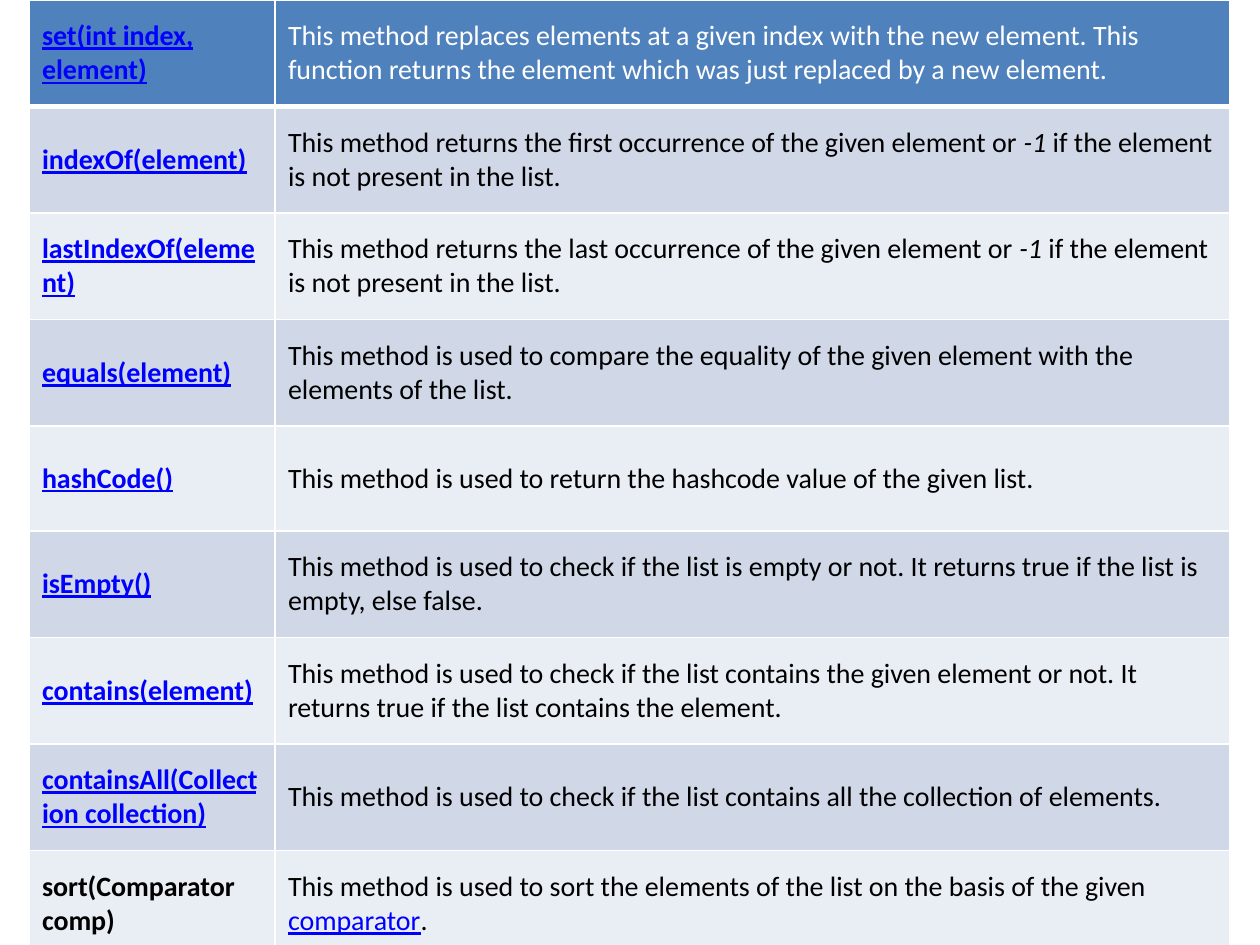
from lxml import etree
from pptx import Presentation
from pptx.dml.color import RGBColor
from pptx.enum.text import MSO_ANCHOR
from pptx.oxml.ns import qn
from pptx.util import Emu, Pt

MIDDLE = MSO_ANCHOR.MIDDLE
FONT, SIZE = "Calibri", 16
BLUE = RGBColor(0x4F, 0x81, 0xBD)
BAND_DARK = RGBColor(0xD0, 0xD8, 0xE8)
BAND_LIGHT = RGBColor(0xE9, 0xED, 0xF4)
LINK = RGBColor(0x00, 0x00, 0xFF)
WHITE = RGBColor(0xFF, 0xFF, 0xFF)
BLACK = RGBColor(0x00, 0x00, 0x00)

SLIDE_W, SLIDE_H = 1260, 945
BLANK_LAYOUT = 6
METHOD_COL = 246
PAD_X, PAD_Y = 13, 19

# Each description is a list of (text, style) runs
METHODS = [
    ("set(int index, element)", [
        ("This method replaces elements at a given index with the new element. "
         "This function returns the element which was just replaced by a new element.", "")]),
    ("indexOf(element)", [
        ("This method returns the first occurrence of the given element or ", ""),
        ("-1", "italic"),
        (" if the element is not present in the list.", "")]),
    ("lastIndexOf(element)", [
        ("This method returns the last occurrence of the given element or ", ""),
        ("-1", "italic"),
        (" if the element is not present in the list.", "")]),
    ("equals(element)", [
        ("This method is used to compare the equality of the given element "
         "with the elements of the list.", "")]),
    ("hashCode()", [
        ("This method is used to return the hashcode value of the given list.", "")]),
    ("isEmpty()", [
        ("This method is used to check if the list is empty or not. "
         "It returns true if the list is empty, else false.", "")]),
    ("contains(element)", [
        ("This method is used to check if the list contains the given element or not. "
         "It returns true if the list contains the element.", "")]),
    ("containsAll(Collection collection)", [
        ("This method is used to check if the list contains all the collection of elements.", "")]),
    ("sort(Comparator comp)", [
        ("This method is used to sort the elements of the list on the basis of the given ", ""),
        ("comparator", "link"),
        (".", "")]),
]
UNLINKED = "sort(Comparator comp)"


def px(n):
    return Emu(round(n * 914400 / 126))


def set_borders(cell, bottom):
    """White lines on all sides; they must come before the cell's fill."""
    tc_pr = cell._tc.get_or_add_tcPr()
    for i, (side, width) in enumerate((("L", 1), ("R", 1), ("T", 1), ("B", bottom))):
        ln = etree.Element(qn(f"a:ln{side}"), w=str(Pt(width)))
        fill = etree.SubElement(ln, qn("a:solidFill"))
        etree.SubElement(fill, qn("a:srgbClr"), val=str(WHITE))
        tc_pr.insert(i, ln)


def fill_cell(cell, runs, color, fill, bold=False, bottom=1):
    cell.fill.solid()
    cell.fill.fore_color.rgb = fill
    set_borders(cell, bottom)
    cell.vertical_anchor = MIDDLE
    cell.margin_left = cell.margin_right = px(PAD_X)
    cell.margin_top = cell.margin_bottom = px(PAD_Y)
    p = cell.text_frame.paragraphs[0]
    for text, style in runs:
        r = p.add_run()
        r.text = text
        r.font.name, r.font.size = FONT, Pt(SIZE)
        r.font.bold = bold
        r.font.italic = style == "italic"
        r.font.underline = style == "link"
        r.font.color.rgb = LINK if style == "link" else color


def add_method_table(s, x, y, w, h):
    rows = len(METHODS)
    table = s.shapes.add_table(rows, 2, px(x), px(y), px(w), px(h)).table
    table.columns[0].width = px(METHOD_COL)
    table.columns[1].width = px(w - METHOD_COL)
    for i, (method, description) in enumerate(METHODS):
        table.rows[i].height = px(h / rows)
        # Header row first, then alternating bands
        header = i == 0
        fill = BLUE if header else (BAND_LIGHT, BAND_DARK)[i % 2]
        color = WHITE if header else BLACK
        bottom = 3 if header else 1
        style = "" if method == UNLINKED else "link"
        fill_cell(table.cell(i, 0), [(method, style)], color, fill, True, bottom)
        fill_cell(table.cell(i, 1), description, color, fill, False, bottom)


def main():
    prs = Presentation()
    prs.slide_width, prs.slide_height = px(SLIDE_W), px(SLIDE_H)
    s = prs.slides.add_slide(prs.slide_layouts[BLANK_LAYOUT])
    add_method_table(s, 29, 0, 1201, SLIDE_H)
    prs.save("out.pptx")


if __name__ == "__main__":
    main()
